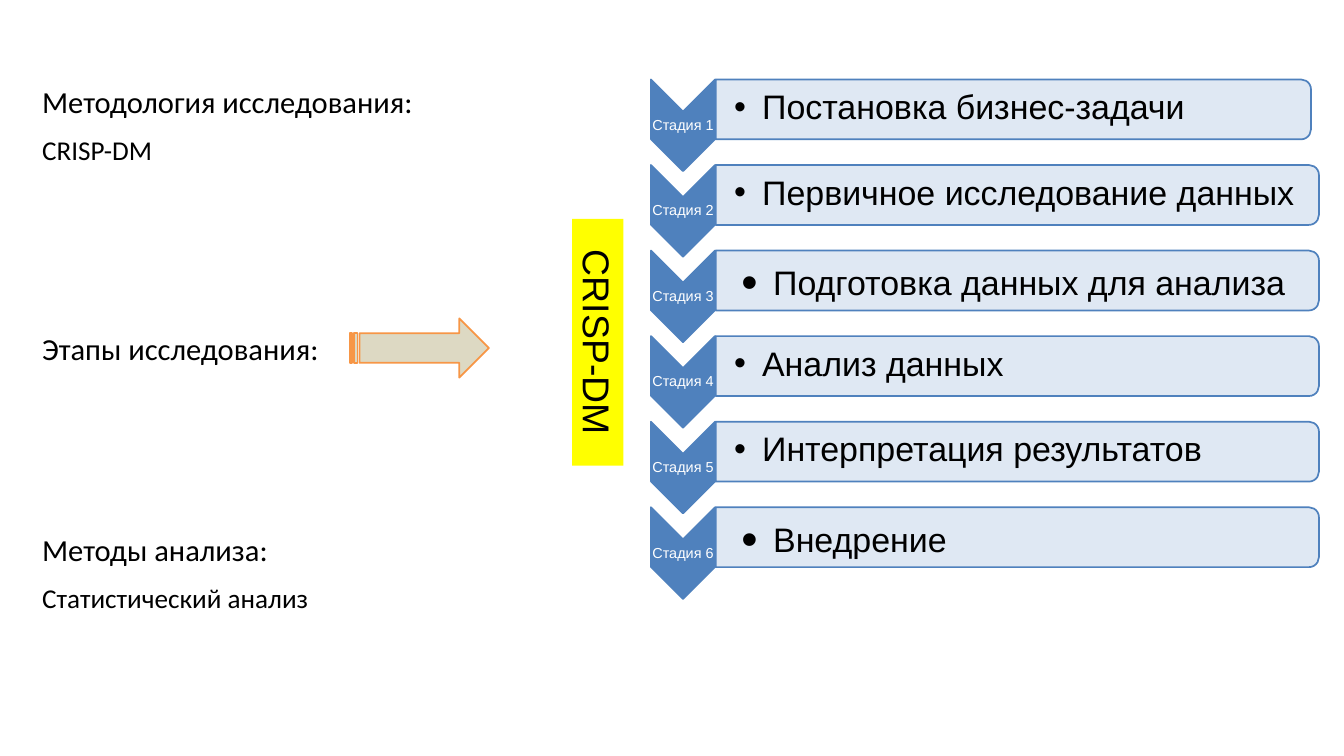
from lxml.etree import SubElement
from pptx import Presentation
from pptx.dml.color import RGBColor
from pptx.enum.shapes import MSO_SHAPE as SHAPE
from pptx.enum.text import MSO_ANCHOR as ANCHOR, PP_ALIGN as ALIGN
from pptx.oxml.ns import qn
from pptx.util import Pt

PX = 9144  # 100 px to the inch
BLACK = RGBColor(0x00, 0x00, 0x00)
WHITE = RGBColor(0xFF, 0xFF, 0xFF)
BLUE = RGBColor(0x4F, 0x81, 0xBD)
PALE_BLUE = RGBColor(0xDC, 0xE6, 0xF2)
ORANGE = RGBColor(0xF7, 0x96, 0x46)
BEIGE = RGBColor(0xDD, 0xD9, 0xC3)
YELLOW = RGBColor(0xFF, 0xFF, 0x00)

STAGES = [
    "Постановка бизнес-задачи",
    "Первичное исследование данных",
    "Подготовка данных для анализа",
    "Анализ данных",
    "Интерпретация результатов",
    "Внедрение",
]
LARGE_BULLET_STAGES = (3, 6)
STAGE_PITCH = 140

# text, size in points, space before in points
OUTLINE = [
    ("Методология исследования:", 36, 0),
    ("CRISP-DM", 32, 17),
    ("Этапы исследования:", 36, 193),
    ("Методы анализа:", 36, 193),
    ("Статистический анализ", 32, 17),
]

presentation = Presentation()
presentation.slide_width = 2199 * PX
presentation.slide_height = 1237 * PX
slide = presentation.slides.add_slide(presentation.slide_layouts[6])


def add_shape(kind, left, top, width, height, fill, line=None, turned=False):
    """Add a shape that covers the given box; a turned one is rotated by 90°."""
    if turned:
        left += (width - height) / 2
        top += (height - width) / 2
        width, height = height, width
    shape = slide.shapes.add_shape(
        kind, *(round(length * PX) for length in (left, top, width, height)))
    shape.rotation = 90 if turned else 0
    shape.shadow.inherit = False
    shape.fill.solid()
    shape.fill.fore_color.rgb = fill
    if line is None:
        shape.line.fill.background()
    else:
        shape.line.color.rgb = line
        shape.line.width = Pt(2)
    return shape


def write(shape, text, size, font="Arial", color=BLACK, align=ALIGN.LEFT,
          anchor=ANCHOR.MIDDLE, insets=(10, 5, 10, 5), spacing=None,
          before=0, hanging=0, bullet_percent=100):
    """Add a paragraph to the shape; a hanging indent gives it a bullet."""
    frame = shape.text_frame
    frame.word_wrap = True
    frame.vertical_anchor = anchor
    (frame.margin_left, frame.margin_top,
     frame.margin_right, frame.margin_bottom) = (inset * PX for inset in insets)
    paragraph = frame.add_paragraph() if frame.text else frame.paragraphs[0]
    paragraph.alignment = align
    paragraph.line_spacing = spacing
    paragraph.space_before = Pt(before)
    if hanging:
        properties = paragraph._p.get_or_add_pPr()
        properties.set("marL", str(hanging * PX))
        properties.set("indent", str(-hanging * PX))
        SubElement(properties, qn("a:buSzPct"), val=str(bullet_percent * 1000))
        SubElement(properties, qn("a:buFont"), typeface="Arial")
        SubElement(properties, qn("a:buChar"), char="•")
    run = paragraph.add_run()
    run.text = text
    run.font.size = Pt(size)
    run.font.name = font
    run.font.color.rgb = color


for number, stage in enumerate(STAGES, start=1):
    top = 130 + (number - 1) * STAGE_PITCH
    add_shape(SHAPE.CHEVRON, 1065, top, 105, 150, BLUE, BLUE, turned=True)
    label = slide.shapes.add_textbox(1065 * PX, (top + 53) * PX, 105 * PX, 45 * PX)
    write(label, f"Стадия {number}", 17, color=WHITE, align=ALIGN.CENTER,
          insets=(1, 1, 1, 1), spacing=0.9)

    bar_width = 974 if number == 1 else 987
    bar = add_shape(SHAPE.ROUND_2_SAME_RECTANGLE, 1171, top, bar_width, 98,
                    PALE_BLUE, BLUE, turned=True)
    fill_color = bar.fill._xPr.find(qn("a:solidFill"))[0]
    SubElement(fill_color, qn("a:alpha"), val="90000")

    description = slide.shapes.add_textbox(
        1170 * PX, (top + 5) * PX, (bar_width - 5) * PX, 88 * PX)
    if number in LARGE_BULLET_STAGES:
        write(description, stage, 40, insets=(43, 18, 4, 4), spacing=0.9,
              hanging=52, bullet_percent=137)
    else:
        write(description, stage, 40, insets=(31, 3, 3, 6), spacing=0.9, hanging=46)

outline = slide.shapes.add_textbox(59 * PX, 130 * PX, 860 * PX, 885 * PX)
for text, size, before in OUTLINE:
    write(outline, text, size, font="Calibri", anchor=ANCHOR.TOP, before=before)

add_shape(SHAPE.STRIPED_RIGHT_ARROW, 573, 521, 227, 97, BEIGE, ORANGE)

method = add_shape(SHAPE.RECTANGLE, 936, 358, 84, 404, YELLOW, turned=True)
write(method, "CRISP-DM", 44, align=ALIGN.CENTER)

presentation.save("out.pptx")
